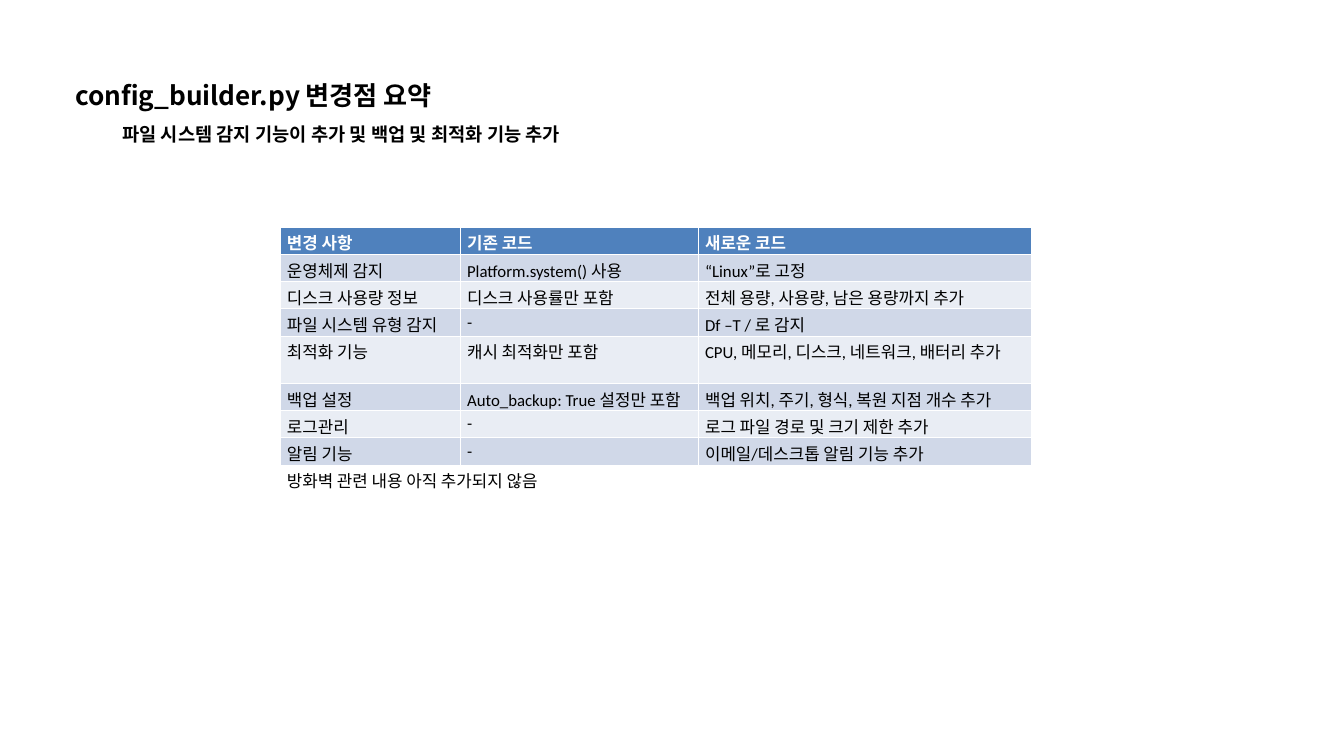
from pptx import Presentation
from pptx.dml.color import RGBColor
from pptx.enum.text import MSO_AUTO_SIZE as AutoSize
from pptx.util import Pt

COLORS = {
    "text": "000000",
    "header_text": "FFFFFF",
    "header": "4F81BD",
    "odd_row": "D0D8E8",
    "even_row": "E9EDF4",
}
TABLE_LEFT = 300.24
COLUMN_WIDTHS = [193, 255, 357]
ROW_HEIGHT = 29.2
CHANGES = [
    ["변경 사항", "기존 코드", "새로운 코드"],
    ["운영체제 감지", "Platform.system() 사용", "“Linux”로 고정"],
    ["디스크 사용량 정보", "디스크 사용률만 포함", "전체 용량, 사용량, 남은 용량까지 추가"],
    ["파일 시스템 유형 감지", "-", "Df –T / 로 감지"],
    ["최적화 기능", "캐시 최적화만 포함", "CPU, 메모리, 디스크, 네트워크, 배터리 추가"],
    ["백업 설정", "Auto_backup: True 설정만 포함", "백업 위치, 주기, 형식, 복원 지점 개수 추가"],
    ["로그관리", "-", "로그 파일 경로 및 크기 제한 추가"],
    ["알림 기능", "-", "이메일/데스크톱 알림 기능 추가"],
]


class SlideBuilder:
    def __init__(self, slide, font="Calibri", size=18):
        self.slide = slide
        self.font = font
        self.size = size

    def color(self, name):
        return RGBColor.from_string(COLORS[name])

    def style(self, para, size=None, font=None, color="text", bold=False):
        para.font.name = font or self.font
        para.font.size = Pt(size or self.size)
        para.font.bold = bold
        para.font.color.rgb = self.color(color)

    def text(self, text, left, top, width, height, wrap=True, inset=True,
             line_spacing=None, **style):
        box = self.slide.shapes.add_textbox(Pt(left), Pt(top), Pt(width), Pt(height))
        frame = box.text_frame
        frame.word_wrap = wrap
        frame.auto_size = AutoSize.SHAPE_TO_FIT_TEXT
        if not inset:
            frame.margin_left = frame.margin_right = 0
            frame.margin_top = frame.margin_bottom = 0
        para = frame.paragraphs[0]
        para.text = text
        if line_spacing:
            para.line_spacing = Pt(line_spacing)
        self.style(para, **style)

    def table(self, rows, left, top, widths, row_height):
        """Add a table with a bold header row and alternating body fills."""
        table = self.slide.shapes.add_table(
            len(rows), len(widths), Pt(left), Pt(top),
            Pt(sum(widths)), Pt(row_height * len(rows))).table
        for column, width in zip(table.columns, widths):
            column.width = Pt(width)
        for row_index, values in enumerate(rows):
            table.rows[row_index].height = Pt(row_height)
            is_header = row_index == 0
            fill = "header" if is_header else "odd_row" if row_index % 2 else "even_row"
            for cell, value in zip(table.rows[row_index].cells, values):
                cell.text = value
                cell.fill.solid()
                cell.fill.fore_color.rgb = self.color(fill)
                self.style(cell.text_frame.paragraphs[0], bold=is_header,
                           color="header_text" if is_header else "text")


def main():
    deck = Presentation()
    deck.slide_width, deck.slide_height = Pt(1440), Pt(810)
    builder = SlideBuilder(deck.slides.add_slide(deck.slide_layouts[6]))
    builder.text("config_builder.py 변경점 요약", 80.64, 76.32, 416.9, 38.9,
                 inset=False, line_spacing=42, size=28,
                 font="Noto Sans CJK SC", bold=True)
    builder.text("파일 시스템 감지 기능이 추가 및 백업 및 최적화 기능 추가",
                 131.04, 127.44, 504.7, 26.6,
                 inset=False, line_spacing=28, size=20, bold=True)
    builder.table(CHANGES, TABLE_LEFT, 243.36, COLUMN_WIDTHS, ROW_HEIGHT)
    builder.text("방화벽 관련 내용 아직 추가되지 않음", TABLE_LEFT, 501.12, 308.2, 28.8,
                 wrap=False)
    deck.save("out.pptx")


if __name__ == "__main__":
    main()
